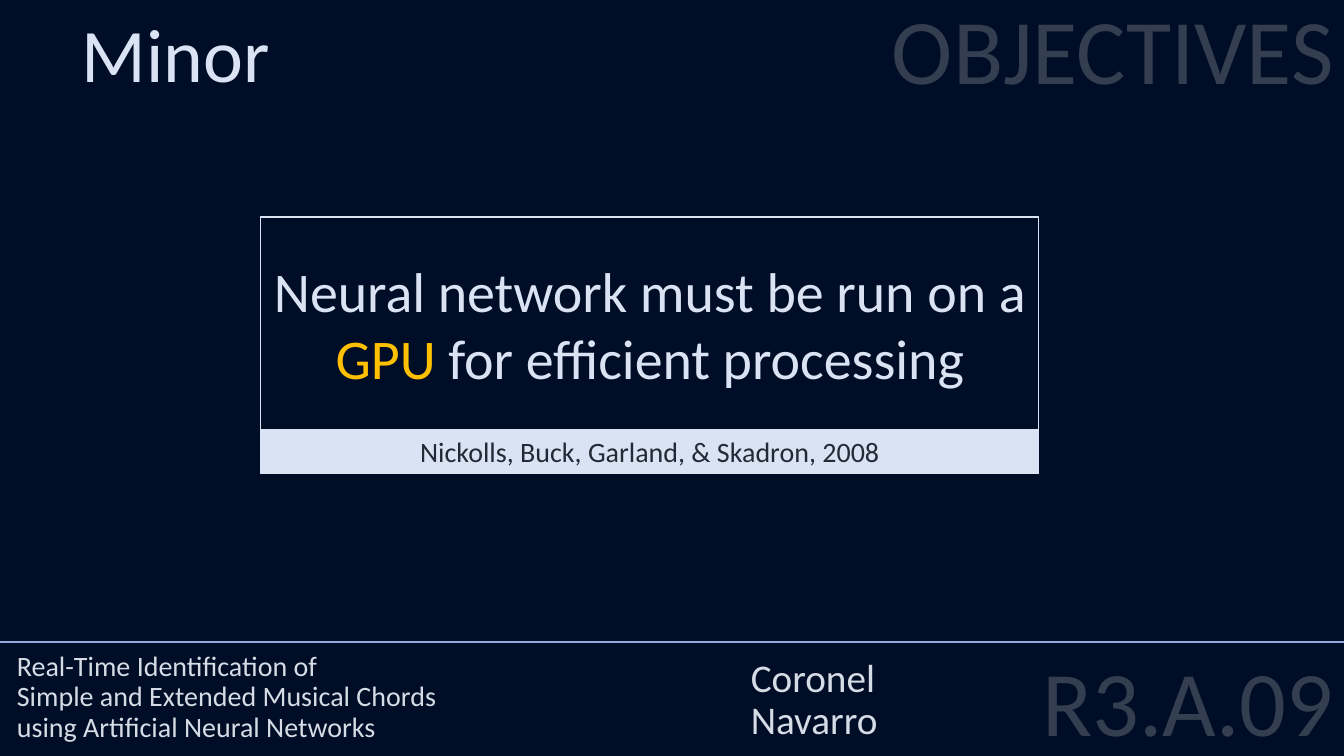
from pptx import Presentation, util as u
from pptx.dml.color import RGBColor
from pptx.enum import shapes, text
from lxml import etree

PIXELS_PER_INCH = 100.8
SLIDE_SIZE = (1344, 756)
RULE_Y = 642
BOX_LEFT, BOX_WIDTH = 261, 778

THEME = {
    "font": "Calibri",
    "colours": {"background": "000D26", "ghost": "333F50", "rule": "8FAADC",
                "footer": "D6DCE5", "pale": "DAE3F3", "accent": "FFC000",
                "citation": "222A35"},
    "sizes": {"ghost": 66, "title": 54, "statement": 40, "authors": 28, "small": 20},
}

LEFT, CENTER, RIGHT = (text.PP_ALIGN.LEFT, text.PP_ALIGN.CENTER, text.PP_ALIGN.RIGHT)
TOP, MIDDLE, BOTTOM = (text.MSO_ANCHOR.TOP, text.MSO_ANCHOR.MIDDLE, text.MSO_ANCHOR.BOTTOM)

# Each paragraph is a list of (words, colour); "\n" is a line break.
LABELS = [
    {"at": (853, 661, 491, 105), "size": "ghost", "anchor": TOP,
     "paragraphs": [[("R3.A.09", "ghost")]],
     "format": {"alignment": RIGHT, "line_spacing": 0.8, "space_before": u.Pt(10)}},
    {"at": (741, 447, 514, 301), "size": "authors", "anchor": BOTTOM,
     "paragraphs": [[("Coronel", "footer")], [("Navarro", "footer")]],
     "format": {"alignment": LEFT, "line_spacing": 0.9}},
    {"at": (224, 0, 1120, 361), "size": "ghost", "anchor": TOP,
     "paragraphs": [[("OBJECTIVES", "ghost")]],
     "format": {"alignment": RIGHT, "line_spacing": 0.9, "space_before": u.Pt(10)}},
    {"at": (72, 2, 842, 102), "size": "title", "anchor": TOP,
     "paragraphs": [[("Minor", "pale")]], "format": {"alignment": LEFT}},
    {"at": (7, 447, 734, 301), "size": "small", "anchor": BOTTOM,
     "paragraphs": [[("Real-Time Identification of \nSimple and Extended Musical Chords \n"
                      "using Artificial Neural Networks", "footer")]],
     "format": {"alignment": LEFT, "line_spacing": 0.9}},
]
BOXES = [
    {"at": (BOX_LEFT, 217, BOX_WIDTH, 213), "size": "statement", "anchor": MIDDLE, "fill": None,
     "paragraphs": [[("Neural network must be run on a ", "pale"), ("GPU", "accent"),
                     (" for efficient processing", "pale")]],
     "format": {"alignment": CENTER}},
    {"at": (BOX_LEFT, 430, BOX_WIDTH, 44), "size": "small", "anchor": TOP, "fill": "pale",
     "paragraphs": [[("Nickolls, Buck, Garland, & Skadron, 2008", "citation")]],
     "format": {"alignment": CENTER}},
]


def px(pixels):
    """Turn pixels into EMU."""
    return u.Inches(pixels / PIXELS_PER_INCH)


def colour(name):
    """Look up a theme colour."""
    return RGBColor.from_string(THEME["colours"][name])


def apply(target, values):
    """Set attributes from a dict."""
    for name, value in values.items():
        setattr(target, name, value)


def write(shape, part):
    """Fill a shape with the formatted text of one part."""
    frame = shape.text_frame
    apply(frame, {"word_wrap": True, "vertical_anchor": part["anchor"]})
    for index, pieces in enumerate(part["paragraphs"]):
        paragraph = frame.add_paragraph() if index else frame.paragraphs[0]
        apply(paragraph, part["format"])
        for words, shade in pieces:
            for number, line in enumerate(words.split("\n")):
                if number:
                    paragraph.add_line_break()
                run = paragraph.add_run()
                run.text = line
                apply(run.font, {"name": THEME["font"],
                                 "size": u.Pt(THEME["sizes"][part["size"]])})
                run.font.color.rgb = colour(shade)


def add_label(slide, part):
    """Add a plain text box."""
    write(slide.shapes.add_textbox(*map(px, part["at"])), part)


def add_box(slide, part):
    """Add an outlined rectangle with text."""
    shape = slide.shapes.add_shape(shapes.MSO_SHAPE.RECTANGLE, *map(px, part["at"]))
    shape.shadow.inherit = False
    if part["fill"]:
        shape.fill.solid()
        shape.fill.fore_color.rgb = colour(part["fill"])
    else:
        shape.fill.background()
    shape.line.color.rgb = colour("pale")
    shape.line.width = u.Pt(0.75)
    write(shape, part)


def add_rule(slide):
    """Draw the line above the footer across the slide."""
    rule = slide.shapes.add_connector(shapes.MSO_CONNECTOR.STRAIGHT, 0, px(RULE_Y),
                                      px(SLIDE_SIZE[0]), px(RULE_Y))
    rule.line.color.rgb = colour("rule")
    rule.line.width = u.Pt(1.5)
    namespace = "http://schemas.openxmlformats.org/drawingml/2006/main"
    etree.SubElement(rule._element.spPr, f"{{{namespace}}}effectLst")


presentation = Presentation()
apply(presentation, dict(zip(("slide_width", "slide_height"), map(px, SLIDE_SIZE))))
slide = presentation.slides.add_slide(presentation.slide_layouts[6])
slide.background.fill.solid()
slide.background.fill.fore_color.rgb = colour("background")
add_rule(slide)
for label in LABELS:
    add_label(slide, label)
for box in BOXES:
    add_box(slide, box)
presentation.save("out.pptx")
